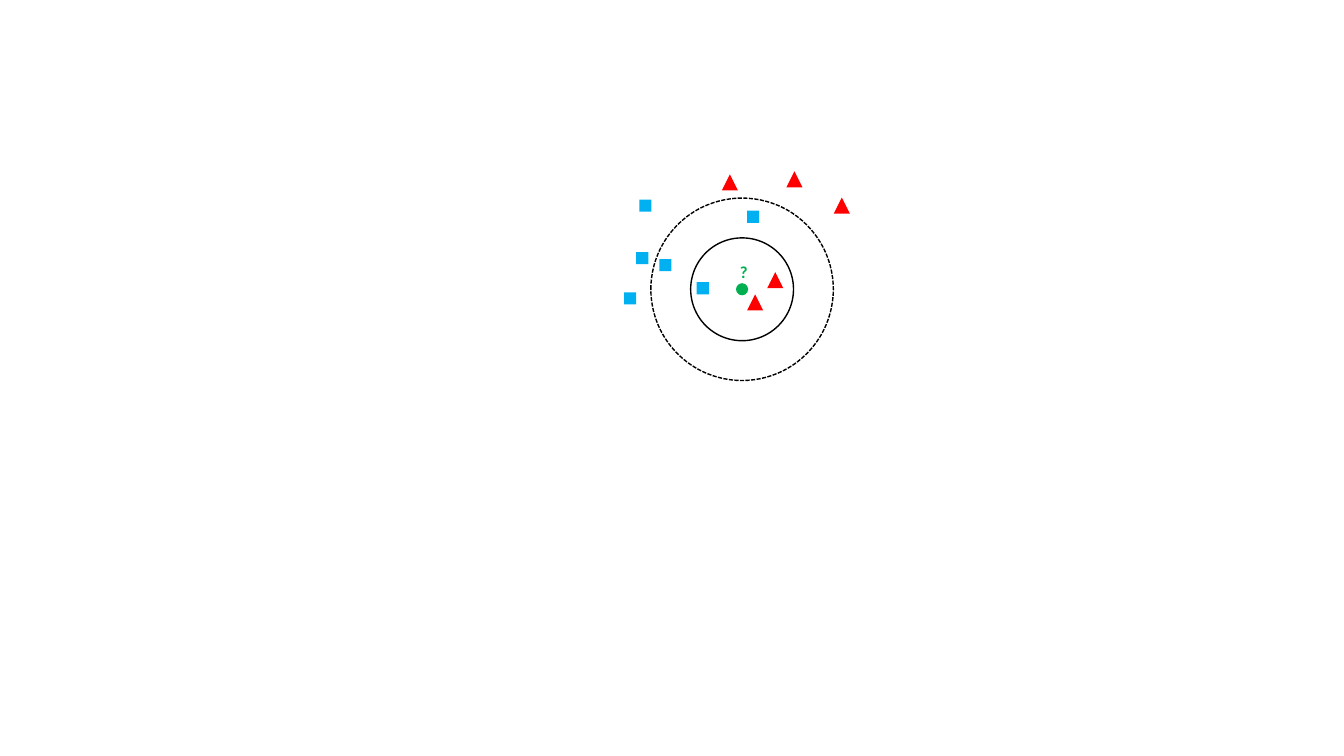
from dataclasses import dataclass

from pptx import Presentation
from pptx.dml.color import RGBColor
from pptx.enum import dml, shapes, text
from pptx.util import Inches, Pt

# Centres of the samples, in inches
SQUARES = [(6.37, 2.56), (6.4, 2.04), (7.47, 2.15),
           (6.25, 2.96), (6.6, 2.63), (6.97, 2.86)]
TRIANGLES = [(7.24, 1.81), (7.88, 1.78), (8.35, 2.04), (7.49, 3.0), (7.69, 2.78)]
QUERY = (7.36, 2.87)
QUERY_LABEL = "?"
# Diameter and dash of each neighbourhood around the query
NEIGHBOURHOODS = [(1.81, dml.MSO_LINE.SQUARE_DOT), (1.02, dml.MSO_LINE.SOLID)]


@dataclass(frozen=True)
class Theme:
    square: RGBColor = RGBColor(0x00, 0xB0, 0xF0)
    triangle: RGBColor = RGBColor(0xFF, 0x00, 0x00)
    query: RGBColor = RGBColor(0x00, 0xB0, 0x50)
    outline: RGBColor = RGBColor(0x00, 0x00, 0x00)
    outline_width: Pt = Pt(1)
    font: str = "Calibri"
    label_size: Pt = Pt(12)


THEME = Theme()
SQUARE_SIZE = QUERY_SIZE = 0.12
TRIANGLE_SIZE = 0.16


def add_centred(diagram, kind, centre, size):
    x, y = centre
    shape = diagram.shapes.add_shape(kind, Inches(x - size / 2), Inches(y - size / 2),
                                     Inches(size), Inches(size))
    shape.shadow.inherit = False
    return shape


def add_marker(diagram, kind, centre, size, color):
    marker = add_centred(diagram, kind, centre, size)
    marker.fill.solid()
    marker.fill.fore_color.rgb = color
    marker.line.fill.background()


def add_neighbourhood(diagram, diameter, dash):
    ring = add_centred(diagram, shapes.MSO_SHAPE.OVAL, QUERY, diameter)
    ring.fill.background()
    ring.line.color.rgb = THEME.outline
    ring.line.width = THEME.outline_width
    ring.line.dash_style = dash


def add_query_label(diagram):
    label = diagram.shapes.add_textbox(Inches(7.24), Inches(2.55), Inches(0.29), Inches(0.3))
    frame = label.text_frame
    frame.word_wrap = False
    frame.auto_size = text.MSO_AUTO_SIZE.SHAPE_TO_FIT_TEXT
    run = frame.paragraphs[0].add_run()
    run.text = QUERY_LABEL
    run.font.name = THEME.font
    run.font.size = THEME.label_size
    run.font.bold = True
    run.font.color.rgb = THEME.query


def main():
    deck = Presentation()
    deck.slide_width, deck.slide_height = Inches(13.33), Inches(7.5)
    slide = deck.slides.add_slide(deck.slide_layouts[6])
    diagram = slide.shapes.add_group_shape()

    for centre in SQUARES:
        add_marker(diagram, shapes.MSO_SHAPE.RECTANGLE, centre, SQUARE_SIZE, THEME.square)
    add_marker(diagram, shapes.MSO_SHAPE.OVAL, QUERY, QUERY_SIZE, THEME.query)
    for diameter, dash in NEIGHBOURHOODS:
        add_neighbourhood(diagram, diameter, dash)
    for centre in TRIANGLES:
        add_marker(diagram, shapes.MSO_SHAPE.ISOSCELES_TRIANGLE, centre, TRIANGLE_SIZE,
                   THEME.triangle)
    add_query_label(diagram)
    deck.save("out.pptx")


if __name__ == "__main__":
    main()
